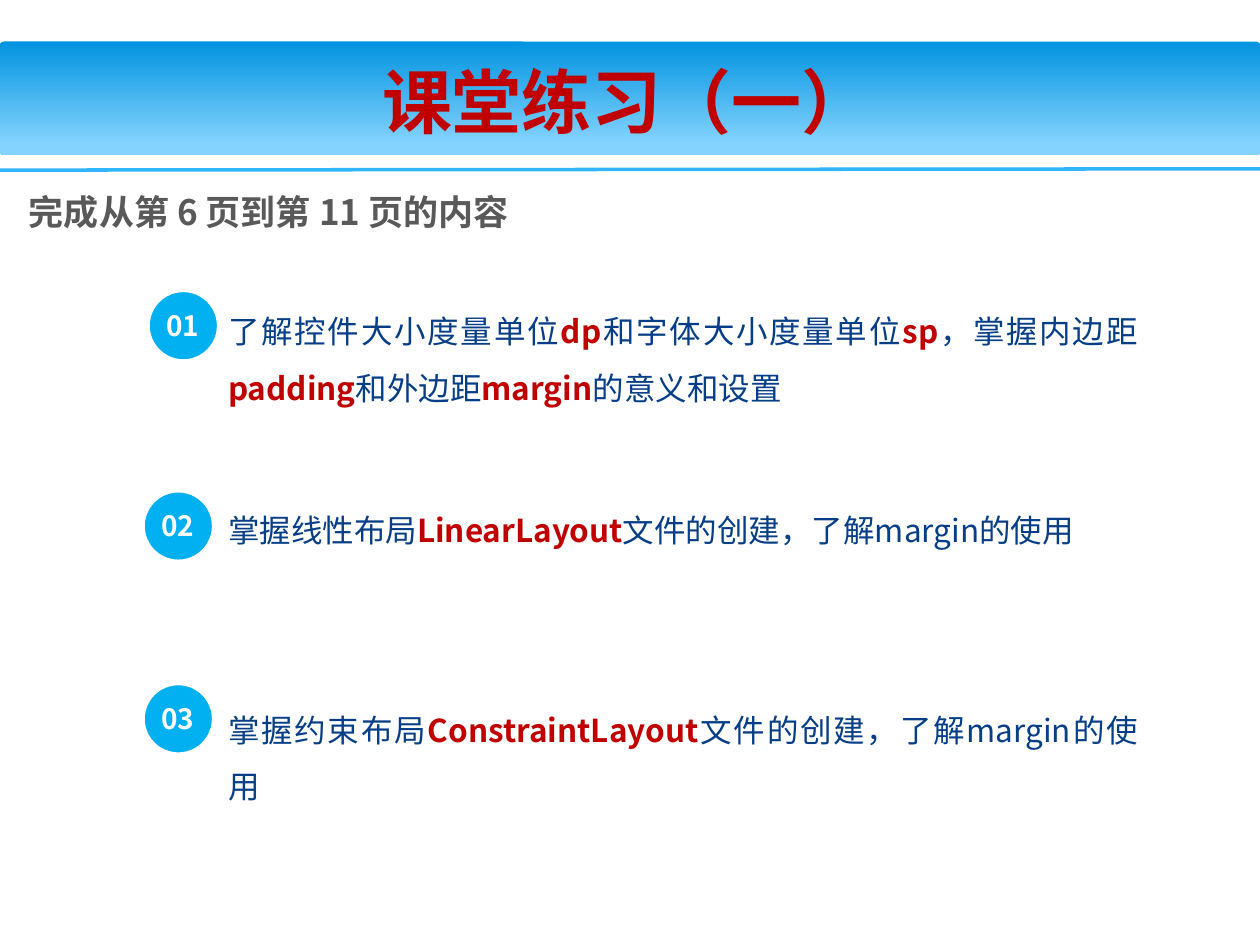
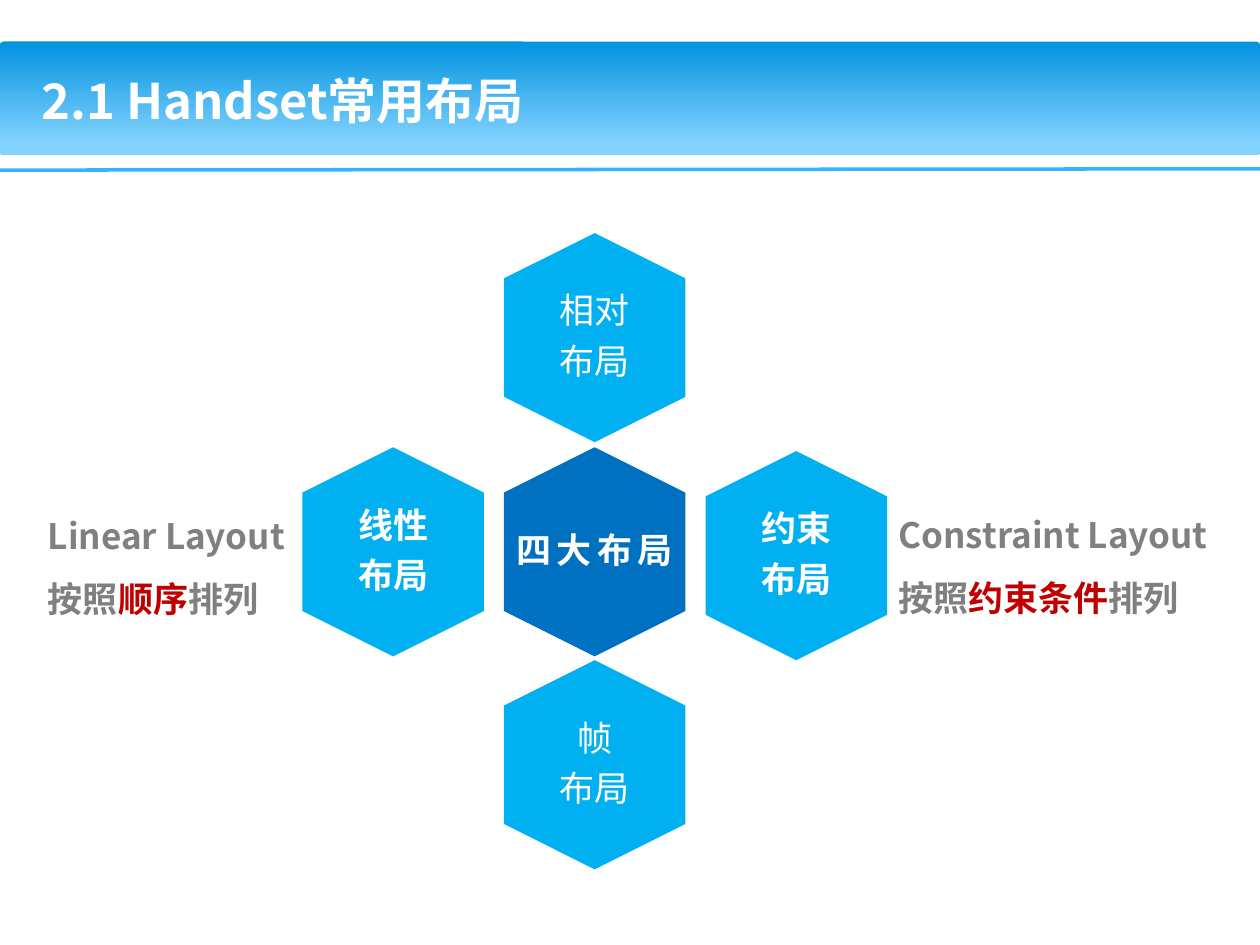
"""Build two slides on layouts: a class exercise and an overview of four layouts."""
from dataclasses import dataclass

from pptx import Presentation
from pptx.dml.color import RGBColor
from pptx.enum.shapes import MSO_CONNECTOR, MSO_SHAPE
from pptx.enum.text import MSO_ANCHOR, MSO_AUTO_SIZE, PP_ALIGN
from pptx.oxml.ns import qn
from pptx.util import Inches, Pt

FONT = "Noto Sans CJK SC"
WHITE, RED, NAVY = "FFFFFF", "C00000", "073E87"
SKY, BLUE, GREY, DARK_GREY = "00B0F0", "0070C0", "808080", "595959"
BAND_TOP, BAND_BOTTOM, RULE = "0293E0", "83D3FE", "31B6FD"
HEX_WIDTH, HEX_HEIGHT, HEX_SHOULDER = 1.44, 1.66, 0.36
BADGE_SIZE = 0.55


@dataclass(frozen=True)
class Goal:
    number: str
    text: str
    top: float
    height: float
    badge_left: float
    badge_top: float


@dataclass(frozen=True)
class Cell:
    text: str
    left: float
    top: float
    fill: str = SKY
    bold: bool = False
    margins: tuple = (0.3, 0.34, 0.3, 0.34)
    tracking: int = 0


@dataclass(frozen=True)
class Caption:
    text: str
    left: float
    top: float
    width: float


GOALS = [
    Goal("01", "了解控件大小度量单位*dp*和字体大小度量单位*sp*，掌握内边距"
         "*padding*和外边距*margin*的意义和设置", 2.33, 0.86, 1.18, 2.31),
    Goal("02", "掌握线性布局*LinearLayout*文件的创建，了解margin的使用",
         3.91, 0.4, 1.14, 3.9),
    Goal("03", "掌握约束布局*ConstraintLayout*文件的创建，了解margin的使用",
         5.49, 0.86, 1.14, 5.43),
]
CELLS = [
    Cell("帧\n布局", 4, 5.24),
    Cell("约束\n布局", 5.6, 3.58, bold=True),
    Cell("线性\n布局", 2.4, 3.55, bold=True),
    Cell("四大布局", 4, 3.55, BLUE, True, (0, 0, 0, 0), 3),
    Cell("相对\n布局", 4, 1.85),
]
CAPTIONS = [
    Caption("Linear Layout\n按照*顺序*排列", 0.38, 3.92, 2.18),
    Caption("Constraint Layout\n按照*约束条件*排列", 7.13, 3.91, 2.68),
]


def rgb(value: str) -> RGBColor:
    """Turn a hex string into a colour."""
    return RGBColor.from_string(value)


def write(frame, text: str, *, size: float, color: str, bold: bool = False,
          accent_bold: bool = True, align=PP_ALIGN.LEFT, spacing: float = 1.0,
          after: float = 0, tracking: int = 0, margins: tuple = (0.1, 0.05, 0.1, 0.05),
          anchor=MSO_ANCHOR.TOP, wrap: bool = True, grow: bool = False,
          plain_list: bool = False) -> None:
    """Fill a frame, one paragraph a line, with text between asterisks in red."""
    frame.word_wrap = wrap
    frame.auto_size = MSO_AUTO_SIZE.SHAPE_TO_FIT_TEXT if grow else MSO_AUTO_SIZE.NONE
    frame.vertical_anchor = anchor
    (frame.margin_left, frame.margin_top,
     frame.margin_right, frame.margin_bottom) = map(Inches, margins)
    for index, line in enumerate(text.split("\n")):
        paragraph = frame.add_paragraph() if index else frame.paragraphs[0]
        paragraph.alignment = align
        paragraph.line_spacing = spacing
        paragraph.space_before, paragraph.space_after = Pt(0), Pt(after)
        if plain_list:
            properties = paragraph._p.get_or_add_pPr()
            properties.set("marL", "0")
            properties.set("indent", "0")
            properties.append(properties.makeelement(qn("a:buNone"), {}))
        for part, words in enumerate(line.split("*")):
            if not words:
                continue
            accented = part % 2 == 1
            run = paragraph.add_run()
            run.text = words
            run.font.name, run.font.size = FONT, Pt(size)
            run.font.bold = accent_bold if accented else bold
            run.font.color.rgb = rgb(RED if accented else color)
            run_properties = run._r.get_or_add_rPr()
            east_asian = run_properties.makeelement(qn("a:ea"), {"typeface": FONT})
            run_properties.find(qn("a:latin")).addnext(east_asian)
            if tracking:
                run_properties.set("spc", str(tracking * 100))


def place(shape, left: float, top: float, width: float, height: float) -> None:
    """Move and size a shape."""
    shape.left, shape.top = Inches(left), Inches(top)
    shape.width, shape.height = Inches(width), Inches(height)


def add_text(shapes, left: float, top: float, width: float, height: float,
             text: str, **style) -> None:
    """Add a text box."""
    box = shapes.add_textbox(Inches(left), Inches(top), Inches(width), Inches(height))
    write(box.text_frame, text, **style)


def add_header(slide, master) -> None:
    """Draw the title band and its rule, and hand them to the master."""
    band = slide.shapes.add_shape(MSO_SHAPE.ROUNDED_RECTANGLE, 0, Inches(0.33),
                                  Inches(10), Inches(0.9))
    band.adjustments[0] = 0.034
    band.shadow.inherit = False
    band.line.fill.background()
    band.fill.gradient()
    band.fill.gradient_angle = 270
    stops = [(0, BAND_TOP), (0.9, BAND_BOTTOM)]
    for stop, (position, color) in zip(band.fill.gradient_stops, stops):
        stop.position = position
        stop.color.rgb = rgb(color)
    rule = slide.shapes.add_connector(MSO_CONNECTOR.STRAIGHT, 0, Inches(1.35),
                                      Inches(10), Inches(1.34))
    rule.line.color.rgb, rule.line.width = rgb(RULE), Pt(2)
    properties = rule.element.spPr
    properties.append(properties.makeelement(qn("a:effectLst"), {}))
    for offset, part in enumerate((band, rule)):
        part.element.xpath(".//p:cNvPr")[0].set("id", str(101 + offset))
        master.element.cSld.spTree.insert(2 + offset, part.element)


def add_title(slide, text: str, width: float, **style) -> None:
    """Set the slide title on the band."""
    place(slide.shapes.title, 0.23, 0.36, width, 0.87)
    write(slide.shapes.title.text_frame, text, bold=True, anchor=MSO_ANCHOR.MIDDLE,
          **style)


def add_goal(slide, goal: Goal) -> None:
    """Add a learning goal and its numbered badge."""
    add_text(slide.shapes, 1.81, goal.top, 7.22, goal.height, goal.text, size=18,
             color=NAVY, align=PP_ALIGN.JUSTIFY, spacing=1.5, margins=(0, 0, 0, 0),
             grow=True)
    badge = slide.shapes.add_group_shape().shapes
    disc = badge.add_shape(MSO_SHAPE.OVAL, Inches(goal.badge_left),
                           Inches(goal.badge_top), Inches(BADGE_SIZE),
                           Inches(BADGE_SIZE))
    disc.shadow.inherit = False
    disc.fill.solid()
    disc.fill.fore_color.rgb = rgb(SKY)
    disc.line.color.rgb, disc.line.width = rgb(WHITE), Pt(1.25)
    add_text(badge, goal.badge_left + 0.04, goal.badge_top + 0.09, 0.48, 0.37,
             goal.number, size=16, color=WHITE, bold=True, wrap=False, grow=True)


def add_cell(slide, cell: Cell) -> None:
    """Add one hexagon of the honeycomb."""
    middle, right = cell.left + HEX_WIDTH / 2, cell.left + HEX_WIDTH
    bottom = cell.top + HEX_HEIGHT
    upper, lower = cell.top + HEX_SHOULDER, bottom - HEX_SHOULDER
    corners = [(right, upper), (right, lower), (middle, bottom),
               (cell.left, lower), (cell.left, upper)]
    outline = slide.shapes.build_freeform(Inches(middle), Inches(cell.top))
    outline.add_line_segments([(Inches(x), Inches(y)) for x, y in corners])
    hexagon = outline.convert_to_shape()
    hexagon.shadow.inherit = False
    hexagon.fill.solid()
    hexagon.fill.fore_color.rgb = rgb(cell.fill)
    hexagon.line.fill.background()
    write(hexagon.text_frame, cell.text, size=20, color=WHITE, bold=cell.bold,
          align=PP_ALIGN.CENTER, spacing=0.9, after=7, tracking=cell.tracking,
          margins=cell.margins, anchor=MSO_ANCHOR.MIDDLE)


def build_exercise(slide) -> None:
    """Fill the exercise slide."""
    add_title(slide, "课堂练习（一）", 9.49, size=40, color=RED, align=PP_ALIGN.CENTER)
    task = slide.placeholders[1]
    place(task, 0.23, 1.47, 9.49, 0.42)
    write(task.text_frame, "完成从第 6 页到第 11 页的内容", size=20, color=DARK_GREY,
          bold=True, align=PP_ALIGN.JUSTIFY, margins=(0, 0.04, 0, 0.04), grow=True,
          plain_list=True)
    for goal in GOALS:
        add_goal(slide, goal)


def build_overview(slide) -> None:
    """Fill the slide with the four layouts."""
    add_title(slide, "2.1 Handset常用布局", 8.8, size=28, color=WHITE)
    for cell in CELLS:
        add_cell(slide, cell)
    for caption in CAPTIONS:
        add_text(slide.shapes, caption.left, caption.top, caption.width, 1.06,
                 caption.text, size=20, color=GREY, bold=True,
                 align=PP_ALIGN.JUSTIFY, spacing=1.5, margins=(0, 0, 0.1, 0.05),
                 grow=True)


def main() -> None:
    """Build and save the presentation."""
    deck = Presentation()
    deck.slide_width, deck.slide_height = Inches(10), Inches(7.5)
    exercise = deck.slides.add_slide(deck.slide_layouts[1])
    overview = deck.slides.add_slide(deck.slide_layouts[5])
    add_header(exercise, deck.slide_master)
    build_exercise(exercise)
    build_overview(overview)
    deck.save("out.pptx")


if __name__ == "__main__":
    main()
